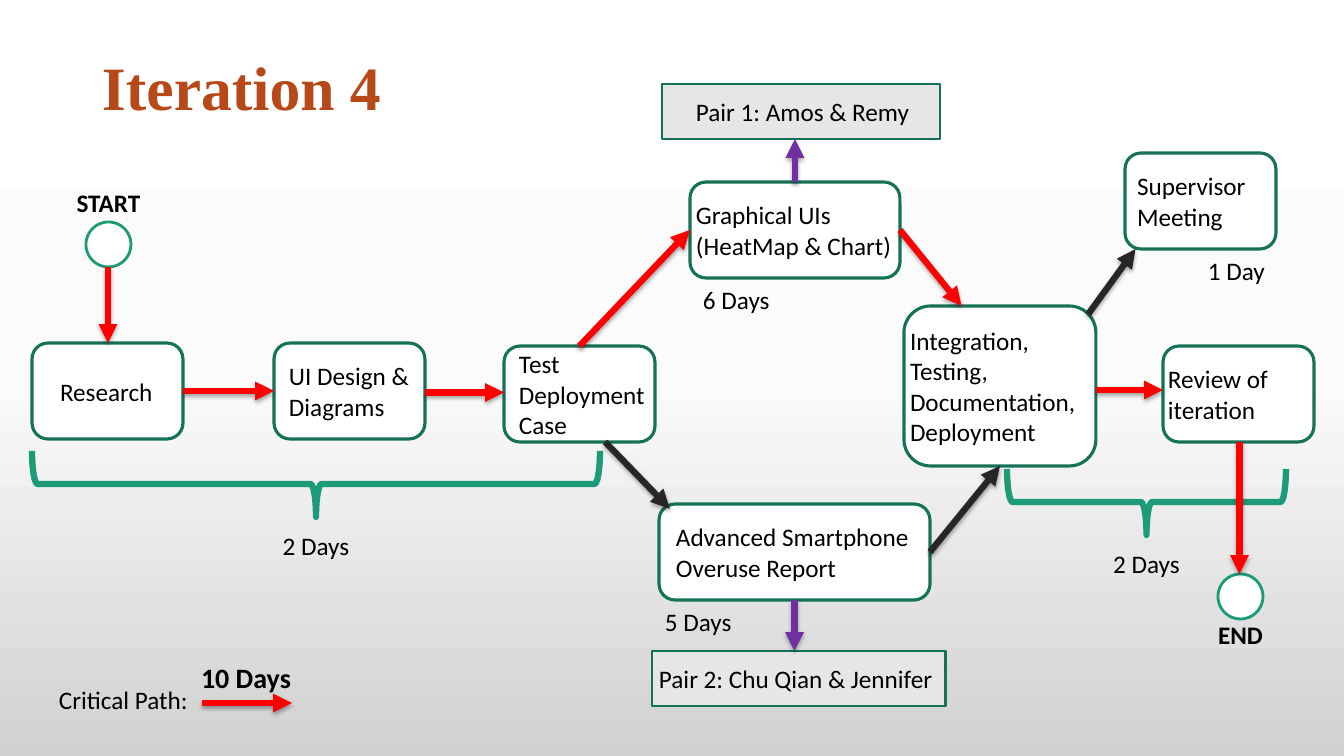
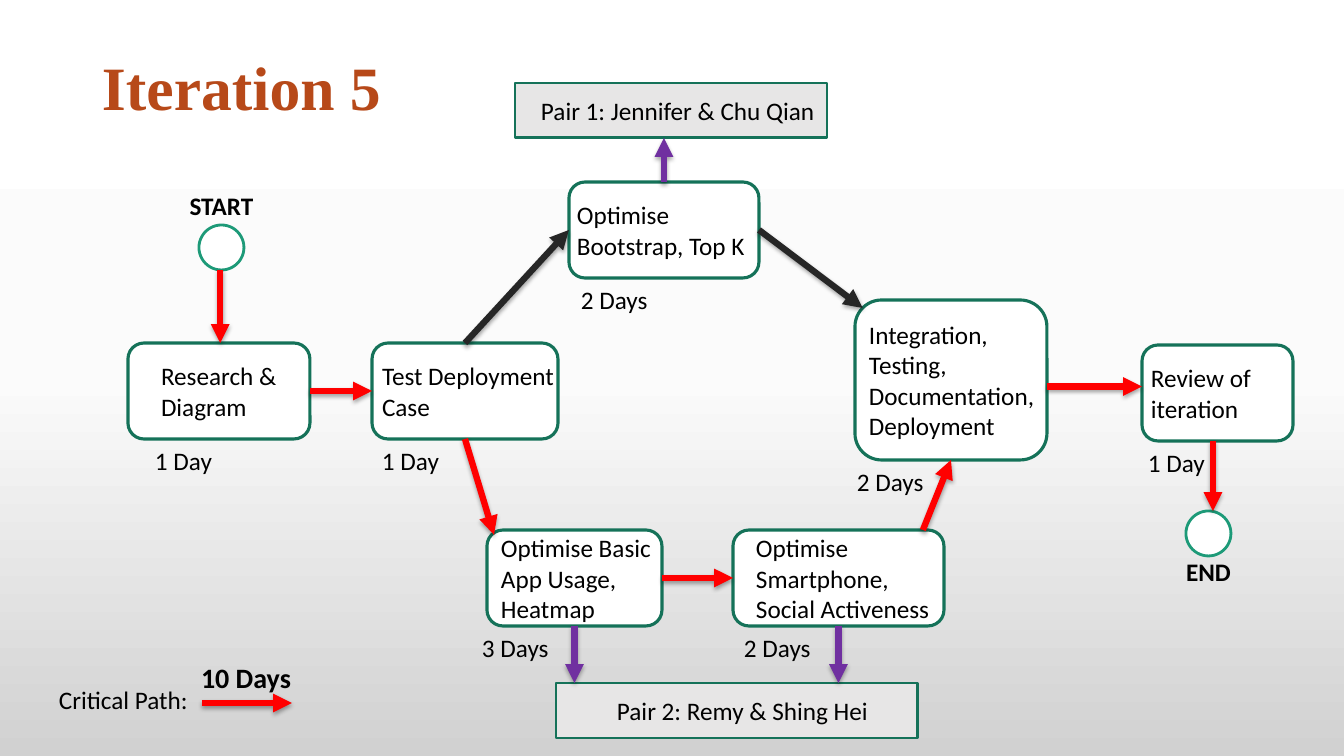
from lxml import etree
from pptx import Presentation
from pptx.dml.color import RGBColor
from pptx.enum.shapes import MSO_CONNECTOR, MSO_SHAPE as Preset
from pptx.enum.text import MSO_ANCHOR as Anchor, PP_ALIGN as Align
from pptx.oxml import parse_xml
from pptx.oxml.ns import nsdecls, qn
from pptx.util import Emu, Pt

SCALE = 914400 / 100.8
COLORS = {
    "title": "B74919", "text": "000000", "white": "FFFFFF",
    "box": "157259", "ring": "1D9A78", "pair": "E7E6E6",
    "critical": "FF0000", "normal": "262626", "pairing": "7030A0",
}
BACKDROP = [(0, "FFFFFF"), (50, "FBFBFB"), (100, "D1D1D1")]
STEP, TALL, PAIR, RING, BRACE, LINE = 96, 160, 55, 45, 66, 40
INSET = 10

# Points on a box, as shares of its width and height
SPOTS = {
    "left": (0, 0.5), "right": (1, 0.5), "top": (0.5, 0), "bottom": (0.5, 1),
    "top left": (0.04, 0.05), "top right": (0.96, 0.05), "bottom left": (0.07, 1),
    "upper left": (0.3, 0), "upper right": (0.9, 0), "lower right": (0.67, 1),
}

# steps: name, text, left, top, width, indent of the text
# pairs: the steps taken, text, left, top, width, indent
# days: step, text, shift from the step's left; ends: text, left, top of the ring
# braces: left, top, width; arrows: kind, step, spot, step, spot
ITERATIONS = [
    {
        "title": "Iteration 4",
        "steps": [
            ("research", "Research", 32, 343, 151, 28),
            ("design", "UI Design & Diagrams", 274, 343, 151, 15),
            ("test", "Test Deployment Case", 504, 346, 151, 15),
            ("graphical", "Graphical UIs (HeatMap & Chart)", 690, 182, 210, 6),
            ("report", "Advanced Smartphone Overuse Report", 659, 504, 271, 17),
            ("integration", "Integration, Testing, Documentation, Deployment",
             904, 306, 192, 6),
            ("meeting", "Supervisor Meeting", 1125, 153, 151, 12),
            ("review", "Review of iteration", 1163, 346, 151, 5),
        ],
        "pairs": [(["graphical"], "Pair 1: Amos & Remy", 662, 84, 278, 34),
                  (["report"], "Pair 2: Chu Qian & Jennifer", 652, 651, 294, 7)],
        "days": [("graphical", "6 Days", 3), ("report", "5 Days", -4),
                 ("meeting", "1 Day", 73)],
        "ends": [("START", 86, 222), ("END", 1218, 574)],
        "braces": [(32, 451, 568), (1007, 469, 279)],
        "arrows": [
            ("critical", "START", "bottom", "research", "top"),
            ("critical", "research", "right", "design", "left"),
            ("critical", "design", "right", "test", "left"),
            ("critical", "test", "top", "graphical", "left"),
            ("critical", "graphical", "right", "integration", "upper left"),
            ("critical", "integration", "right", "review", "left"),
            ("critical", "review", "bottom", "END", "top"),
            ("normal", "integration", "top right", "meeting", "bottom left"),
            ("normal", "test", "lower right", "report", "top left"),
            ("normal", "report", "right", "integration", "bottom"),
        ],
    },
    {
        "title": "Iteration 5",
        "steps": [
            ("research", "Research & Diagram", 128, 343, 182, 33),
            ("test", "Test Deployment Case", 372, 343, 186, 10),
            ("bootstrap", "Optimise Bootstrap, Top K", 569, 182, 190, 8),
            ("usage", "Optimise Basic App Usage, Heatmap", 487, 530, 175, 14),
            ("social", "Optimise Smartphone, Social Activeness", 733, 530, 211, 23),
            ("integration", "Integration, Testing, Documentation, Deployment",
             855, 300, 192, 14),
            ("review", "Review of iteration", 1142, 345, 151, 9),
        ],
        "pairs": [(["bootstrap"], "Pair 1: Jennifer & Chu Qian", 515, 83, 312, 26),
                  (["usage", "social"], "Pair 2: Remy & Shing Hei", 556, 683, 362, 61)],
        "days": [("research", "1 Day", 17), ("test", "1 Day", 0),
                 ("bootstrap", "2 Days", 2), ("usage", "3 Days", -15),
                 ("social", "2 Days", 1), ("integration", "2 Days", -8),
                 ("review", "1 Day", -4)],
        "ends": [("START", 199, 225), ("END", 1186, 511)],
        "braces": [],
        "arrows": [
            ("critical", "START", "bottom", "research", "top"),
            ("critical", "research", "right", "test", "left"),
            ("critical", "test", "bottom", "usage", "top left"),
            ("critical", "usage", "right", "social", "left"),
            ("critical", "social", "upper right", "integration", "bottom"),
            ("critical", "integration", "right", "review", "left"),
            ("critical", "review", "bottom", "END", "top"),
            ("normal", "test", "top", "bootstrap", "left"),
            ("normal", "bootstrap", "right", "integration", "top left"),
        ],
    },
]


def px(*lengths):
    """Turn pixel lengths into EMU."""
    return [Emu(round(length * SCALE)) for length in lengths]


def color(name):
    """Look up a named colour."""
    return RGBColor.from_string(COLORS[name])


def set_backdrop(master):
    """Give every slide the same vertical gradient."""
    fill = master.background.fill
    fill.gradient()
    fill.gradient_angle = 270
    stops = next(master.element.iter(qn("a:gsLst")))
    for stop in list(stops):
        stops.remove(stop)
    for percent, value in BACKDROP:
        stops.append(parse_xml(
            f'<a:gs {nsdecls("a")} pos="{percent * 1000}"><a:srgbClr val="{value}"/></a:gs>'))


def add_outline(page, preset, place, fill, line, weight):
    """Add a preset shape with a plain fill and border."""
    shape = page.shapes.add_shape(preset, *px(*place))
    shape.shadow.inherit = False
    if fill:
        shape.fill.solid()
        shape.fill.fore_color.rgb = color(fill)
    else:
        shape.fill.background()
    shape.line.color.rgb = color(line)
    shape.line.width = Pt(weight)
    return shape


def add_text(page, text, place, size=18, bold=False, font="Calibri", ink="text",
             align=Align.LEFT):
    """Add a wrapping, vertically centred text box."""
    box = page.shapes.add_textbox(*px(*place))
    frame = box.text_frame
    frame.word_wrap = True
    frame.vertical_anchor = Anchor.MIDDLE
    frame.margin_left, frame.margin_right = px(INSET, 0)
    frame.text = text
    para = frame.paragraphs[0]
    para.alignment = align
    para.font.size, para.font.bold, para.font.name = Pt(size), bold, font
    para.font.color.rgb = color(ink)
    return box


def add_centred(page, text, middle, top, bold=False):
    """Add a one-line label centred on a given middle."""
    width = 3 * LINE
    box = add_text(page, text, (middle - width / 2, top, width, LINE),
                   bold=bold, align=Align.CENTER)
    box.text_frame.margin_left = 0


def add_title(page, text):
    """Add the slide title with its thin white letter outline."""
    box = add_text(page, text, (92, 18, 1159, 146), size=44, bold=True,
                   font="Times New Roman", ink="title")
    box.text_frame.paragraphs[0].line_spacing = 0.9
    letters = next(box.element.iter(qn("a:r"))).get_or_add_rPr()
    letters.insert(0, parse_xml(
        f'<a:ln {nsdecls("a")} w="9525"><a:solidFill>'
        f'<a:srgbClr val="{COLORS["white"]}"/></a:solidFill></a:ln>'))


def add_panel(page, preset, text, place, indent, fill, weight):
    """Add a box with its text over it, indented from the left."""
    add_outline(page, preset, place, fill, "box", weight)
    left, top, width, height = place
    shift = indent - INSET
    add_text(page, text, (left + shift, top, width - shift, height))


def add_arrow(page, kind, start, end):
    """Add a thick arrow with a soft shadow beneath it."""
    arrow = page.shapes.add_connector(MSO_CONNECTOR.STRAIGHT, *px(*start, *end))
    arrow.line.color.rgb = color(kind)
    arrow.line.width = Pt(4.5)
    stroke = next(arrow.element.iter(qn("a:ln")))
    etree.SubElement(stroke, qn("a:tailEnd"), type="triangle")
    arrow.element.spPr.append(parse_xml(
        f'<a:effectLst {nsdecls("a")}><a:outerShdw blurRad="40000" dist="23000" '
        'dir="5400000" rotWithShape="0"><a:srgbClr val="000000">'
        '<a:alpha val="35000"/></a:srgbClr></a:outerShdw></a:effectLst>'))


def find_spot(place, spot):
    """Locate a named spot on a box."""
    left, top, width, height = place
    across, down = SPOTS[spot]
    return left + across * width, top + down * height


def straighten(start, end, slack=15):
    """Level out ends that differ only a little along one axis."""
    pairs = [((a + b) / 2,) * 2 if abs(a - b) < slack else (a, b)
             for a, b in zip(start, end)]
    return zip(*pairs)


def add_brace(page, left, top, width):
    """Add a brace that opens upwards, with its days below."""
    shift = (width - BRACE) / 2
    place = (left + shift, top - shift, BRACE, width)
    add_outline(page, Preset.RIGHT_BRACE, place, None, "ring", 4.5).rotation = 90
    add_centred(page, "2 Days", left + width / 2, top + BRACE + 8)


def add_legend(page):
    """Add the critical path key with its total."""
    add_text(page, "Critical Path:", (49, 679, 299, LINE))
    add_text(page, "10 Days", (191, 657, 119, LINE), size=20, bold=True)
    add_arrow(page, "critical", (202, 703), (292, 703))


def build_page(deck, plan):
    """Draw one iteration as a network of steps."""
    page = deck.slides.add_slide(deck.slide_layouts[6])
    add_title(page, plan["title"])
    places = {}
    for name, text, left, top, width, indent in plan["steps"]:
        height = TALL if name == "integration" else STEP
        places[name] = (left, top, width, height)
        add_panel(page, Preset.ROUNDED_RECTANGLE, text, places[name], indent, "white", 2.25)
    for text, left, top in plan["ends"]:
        places[text] = (left, top, RING, RING)
        add_outline(page, Preset.OVAL, places[text], "white", "ring", 2)
        label_top = top - LINE if text == "START" else top + LINE
        add_centred(page, text, left + RING / 2, label_top, bold=True)
    for name, text, shift in plan["days"]:
        left, top, width, height = places[name]
        add_text(page, text, (left + shift, top + height + 1, 3 * LINE, LINE))
    for brace in plan["braces"]:
        add_brace(page, *brace)
    for steps, text, left, top, width, indent in plan["pairs"]:
        place = (left, top, width, PAIR)
        add_panel(page, Preset.RECTANGLE, text, place, indent, "pair", 2)
        for name in steps:
            above = top < places[name][1]
            start = find_spot(places[name], "top" if above else "bottom")
            add_arrow(page, "pairing", start, (start[0], top + PAIR if above else top))
    for kind, source, leave, target, reach in plan["arrows"]:
        start = find_spot(places[source], leave)
        end = find_spot(places[target], reach)
        add_arrow(page, kind, *straighten(start, end))
    add_legend(page)


deck = Presentation()
deck.slide_width, deck.slide_height = px(1344, 756)
set_backdrop(deck.slide_master)
for plan in ITERATIONS:
    build_page(deck, plan)
deck.save("out.pptx")
